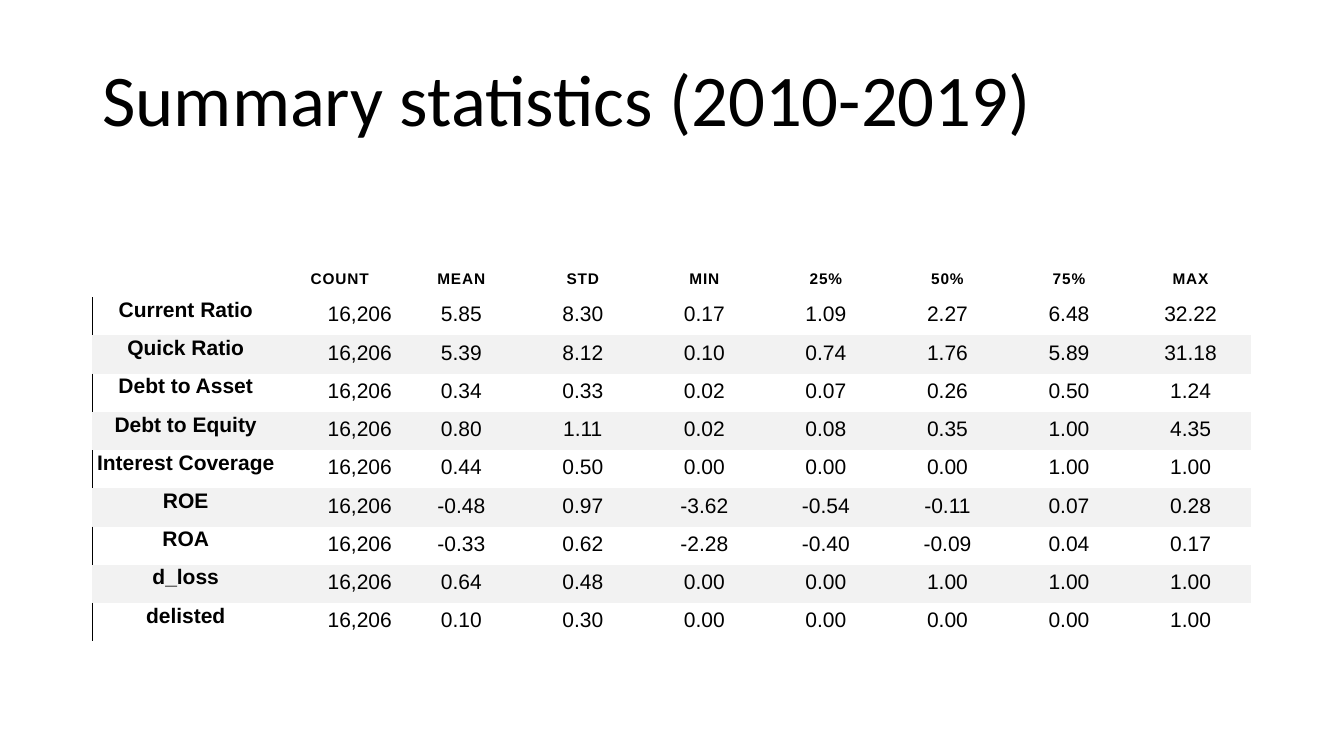
import pptx
import pptx.dml.color
import pptx.enum.text
import pptx.oxml
import pptx.oxml.ns
import pptx.util

Cm = pptx.util.Cm
Pt = pptx.util.Pt
Anchor = pptx.enum.text.MSO_ANCHOR
Align = pptx.enum.text.PP_ALIGN

COLOURS = {"text": "000000", "band": "F2F2F2", "rule": "000000"}
PLAIN_TABLE_STYLE = "{2D5ABB26-0587-4C30-8999-92F81FD0307C}"
HEADINGS = ["", "COUNT", "MEAN", "STD", "MIN", "25%", "50%", "75%", "MAX"]
COUNT = "16,206"
STATISTICS = {
    "Current Ratio": ["5.85", "8.30", "0.17", "1.09", "2.27", "6.48", "32.22"],
    "Quick Ratio": ["5.39", "8.12", "0.10", "0.74", "1.76", "5.89", "31.18"],
    "Debt to Asset": ["0.34", "0.33", "0.02", "0.07", "0.26", "0.50", "1.24"],
    "Debt to Equity": ["0.80", "1.11", "0.02", "0.08", "0.35", "1.00", "4.35"],
    "Interest Coverage": ["0.44", "0.50", "0.00", "0.00", "0.00", "1.00", "1.00"],
    "ROE": ["-0.48", "0.97", "-3.62", "-0.54", "-0.11", "0.07", "0.28"],
    "ROA": ["-0.33", "0.62", "-2.28", "-0.40", "-0.09", "0.04", "0.17"],
    "d_loss": ["0.64", "0.48", "0.00", "0.00", "1.00", "1.00", "1.00"],
    "delisted": ["0.10", "0.30", "0.00", "0.00", "0.00", "0.00", "1.00"],
}


def colour(name):
    return pptx.dml.color.RGBColor.from_string(COLOURS[name])


def style_paragraph(para, font_name, size, bold=False):
    para.font.name = font_name
    para.font.size = Pt(size)
    para.font.bold = bold
    para.font.color.rgb = colour("text")


def add_title(page, left, top, width, height):
    box = page.shapes.add_textbox(Cm(left), Cm(top), Cm(width), Cm(height))
    frame = box.text_frame
    frame.word_wrap = True
    frame.vertical_anchor = Anchor.MIDDLE
    para = frame.paragraphs[0]
    para.text = "Summary statistics (2010-2019)"
    para.line_spacing = 0.9
    style_paragraph(para, "Calibri", 52)


def add_left_rule(cell):
    rule = pptx.oxml.parse_xml(
        f'<a:lnL {pptx.oxml.ns.nsdecls("a")} w="{Pt(1)}"><a:solidFill>'
        f'<a:srgbClr val="{COLOURS["rule"]}"/></a:solidFill></a:lnL>'
    )
    cell._tc.get_or_add_tcPr().insert(0, rule)


def fill_cell(cell, text, row, column):
    is_heading = row == 0
    is_label = column == 0 and not is_heading
    is_count = column == 1 and not is_heading
    cell.margin_left = Cm(1.04 if is_count else 0.03)
    cell.margin_right = cell.margin_top = Cm(0.03)
    cell.margin_bottom = Cm(0.23)
    cell.vertical_anchor = Anchor.TOP if is_label else Anchor.BOTTOM
    para = cell.text_frame.paragraphs[0]
    para.text = text
    para.alignment = Align.CENTER
    style_paragraph(para, "Arial", 11 if is_heading else 15, is_heading or is_label)
    if is_heading:
        for span in para.runs:
            span._r.get_or_add_rPr().set("spc", "60")
    if row > 0 and row % 2 == 0:
        cell.fill.solid()
        cell.fill.fore_color.rgb = colour("band")
    else:
        cell.fill.background()
    if is_label and row % 2 == 1:
        add_left_rule(cell)


def add_statistics_table(page, left, top, width, height):
    rows = [HEADINGS] + [[label, COUNT, *values] for label, values in STATISTICS.items()]
    frame = page.shapes.add_table(
        len(rows), len(HEADINGS), Cm(left), Cm(top), Cm(width), Cm(height)
    )
    table = frame.table
    table.first_row = table.horz_banding = False
    table._tbl.tblPr[0].text = PLAIN_TABLE_STYLE

    label_width, heading_height = 4.7, 1.01
    for index, column in enumerate(table.columns):
        value_width = (width - label_width) / (len(HEADINGS) - 1)
        column.width = Cm(value_width if index else label_width)
    for index, line in enumerate(table.rows):
        value_height = (height - heading_height) / len(STATISTICS)
        line.height = Cm(value_height if index else heading_height)

    for row, texts in enumerate(rows):
        for column, text in enumerate(texts):
            fill_cell(table.cell(row, column), text, row, column)


def main():
    deck = pptx.Presentation()
    deck.slide_width, deck.slide_height = Cm(33.87), Cm(19.05)
    page = deck.slides.add_slide(deck.slide_layouts[6])
    add_title(page, 2.33, 0.51, 29.21, 4.19)
    add_statistics_table(page, 2.33, 6.48, 29.21, 9.68)
    deck.save("out.pptx")


if __name__ == "__main__":
    main()
